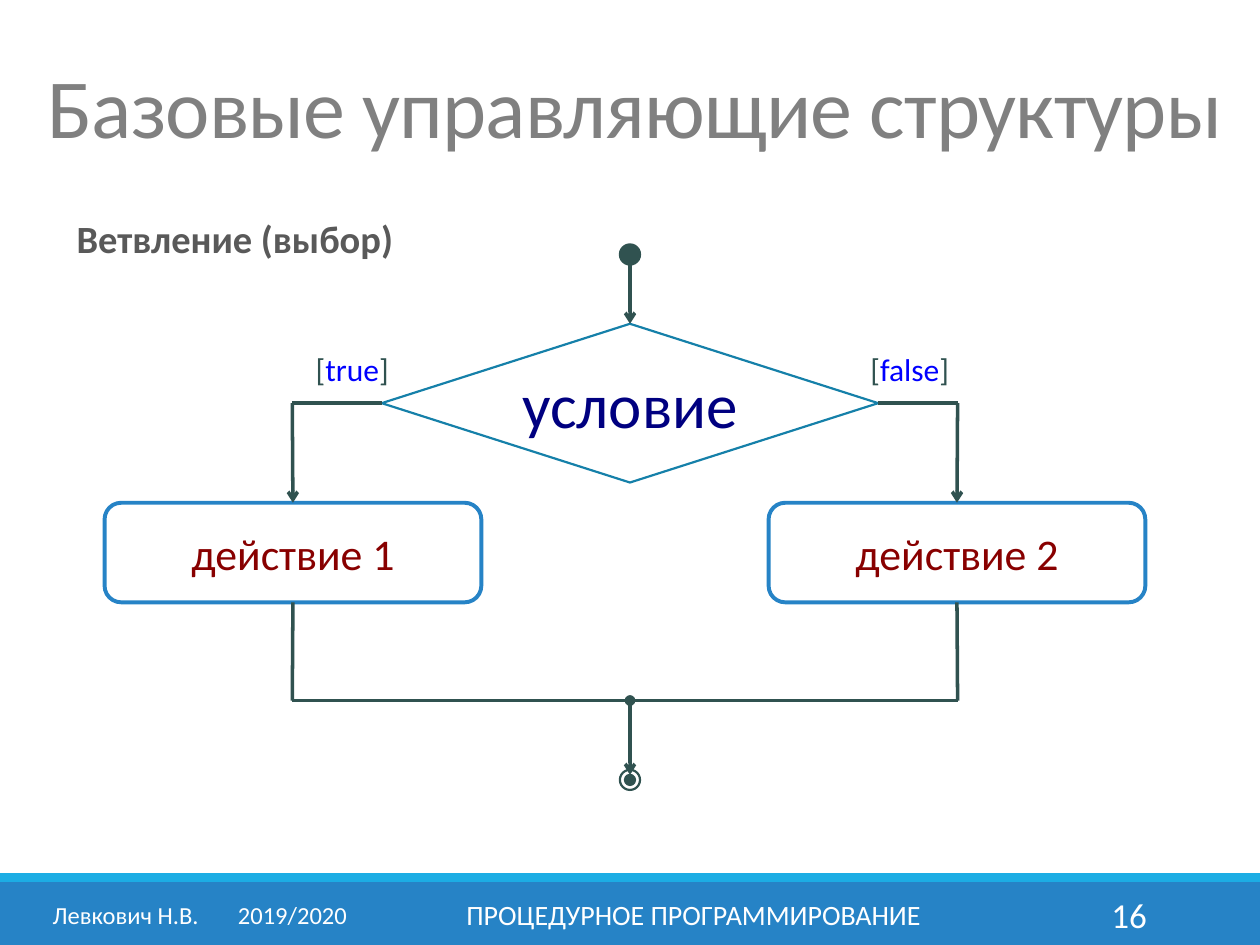
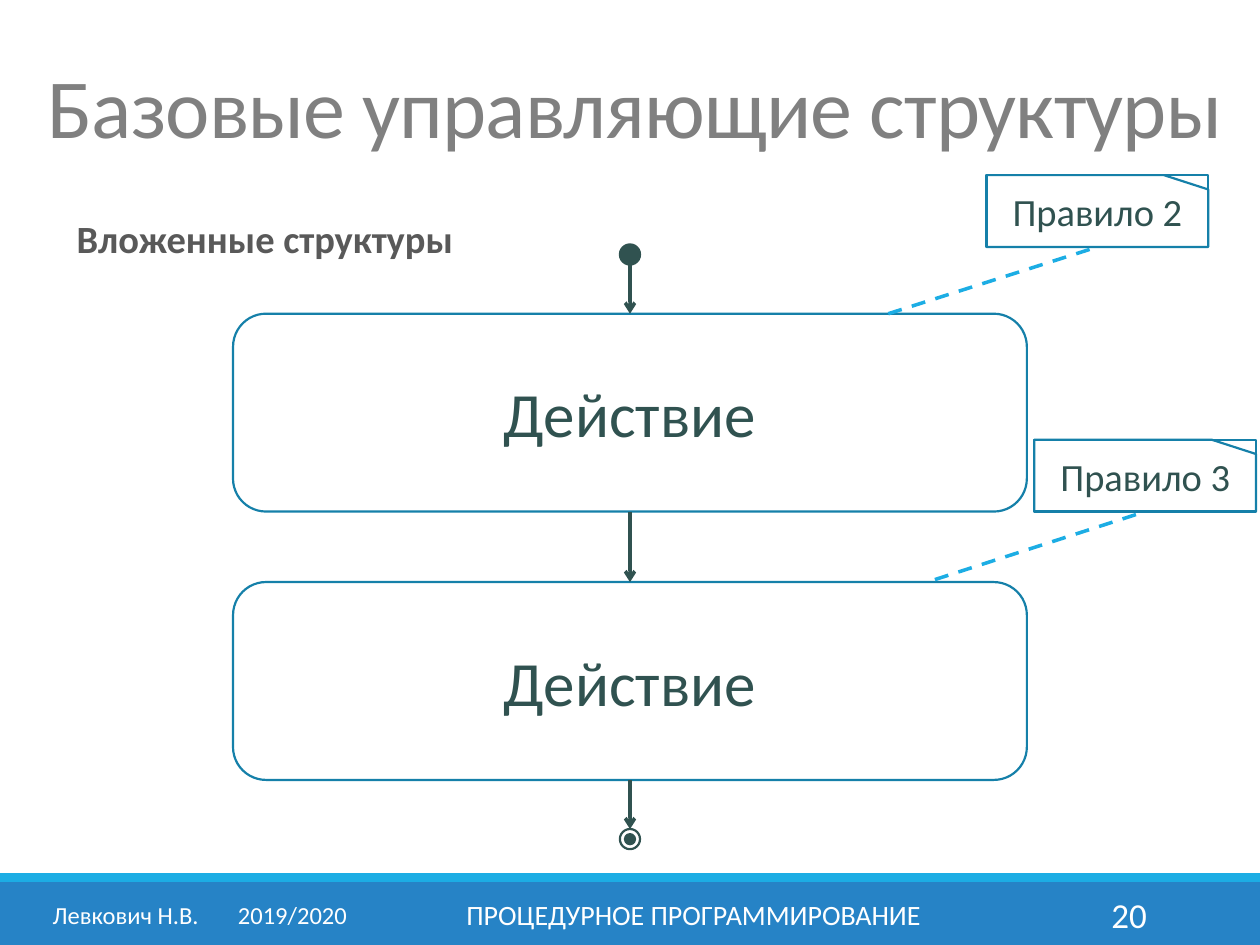
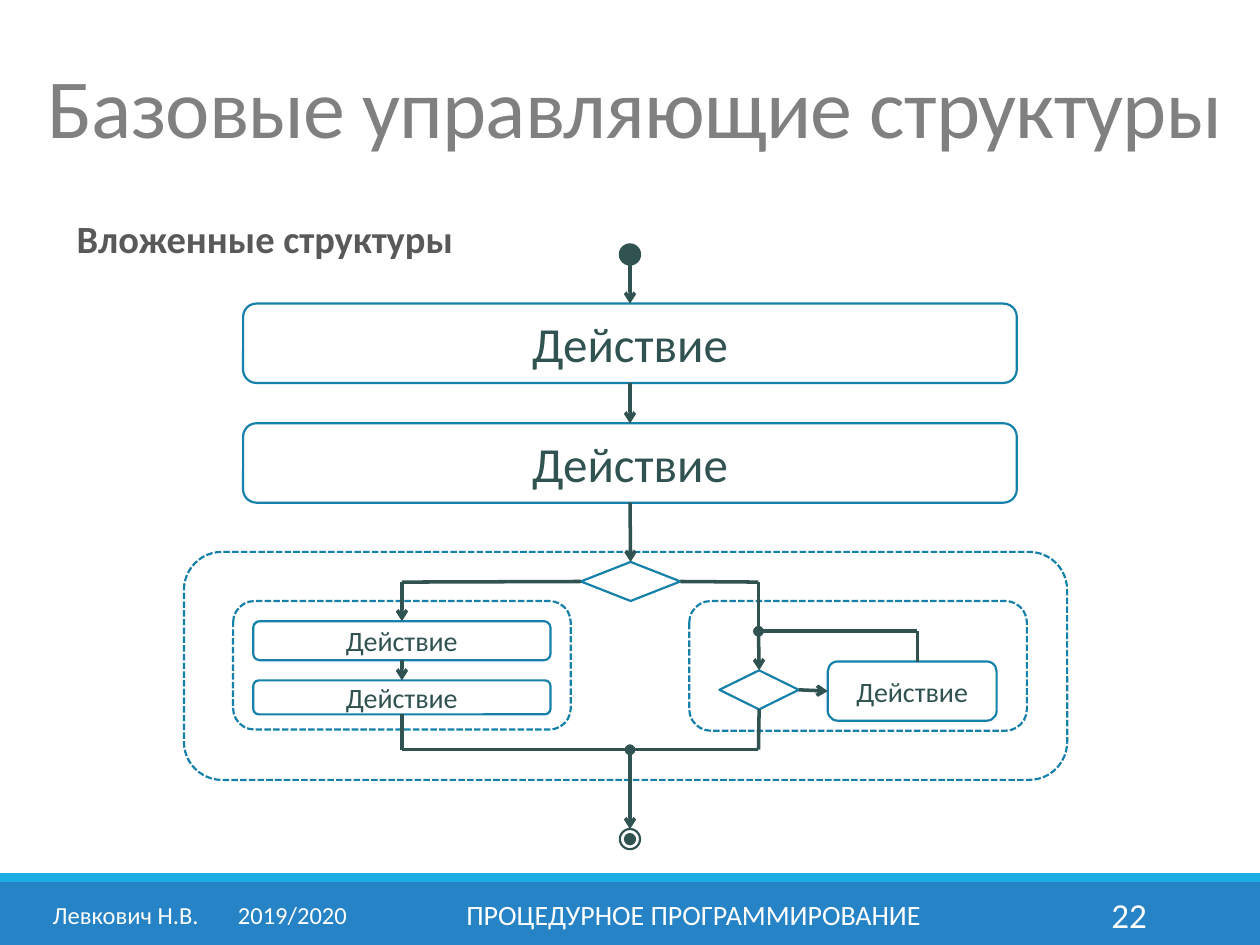
from lxml import etree
from pptx import Presentation
from pptx.dml.color import RGBColor
from pptx.enum.dml import MSO_LINE
from pptx.enum.shapes import MSO_CONNECTOR, MSO_SHAPE
from pptx.enum.text import MSO_ANCHOR, PP_ALIGN
from pptx.oxml.ns import qn
from pptx.util import Inches, Pt

RECTANGLE = MSO_SHAPE.RECTANGLE
ACTION = MSO_SHAPE.FLOWCHART_ALTERNATE_PROCESS
DECISION = MSO_SHAPE.FLOWCHART_DECISION
CIRCLE = MSO_SHAPE.FLOWCHART_CONNECTOR
CARD = MSO_SHAPE.FLOWCHART_CARD
PROCESS = MSO_SHAPE.FLOWCHART_PROCESS
STRAIGHT = MSO_CONNECTOR.STRAIGHT
DASH, SMALL_DASH = MSO_LINE.DASH, MSO_LINE.SQUARE_DOT
TOP_ANCHOR, MIDDLE = MSO_ANCHOR.TOP, MSO_ANCHOR.MIDDLE
ALIGN_LEFT, CENTER, ALIGN_RIGHT = PP_ALIGN.LEFT, PP_ALIGN.CENTER, PP_ALIGN.RIGHT
TOP, LEFT, BOTTOM, RIGHT = range(4)

BLUE = RGBColor(0x26, 0x83, 0xC6)
CYAN = RGBColor(0x1C, 0xAD, 0xE4)
TEAL = RGBColor(0x15, 0x80, 0xA9)
DARK = RGBColor(0x30, 0x52, 0x50)
TITLE_GRAY = RGBColor(0x80, 0x80, 0x80)
HEADING_GRAY = RGBColor(0x59, 0x59, 0x59)
WHITE = RGBColor(0xFF, 0xFF, 0xFF)
MAROON = RGBColor(0x88, 0x00, 0x00)
NAVY = RGBColor(0x00, 0x00, 0x80)
KEYWORD_BLUE = RGBColor(0x00, 0x00, 0xFF)

AXIS = 5


def add_block(shapes, kind, box, runs=(), size=18, bold=False, align=CENTER,
              anchor=MIDDLE, fill=None, line=None, width=1.25, dash=None):
    box = [Inches(value) for value in box]
    if kind is None:
        shape = shapes.add_textbox(*box)
    else:
        shape = shapes.add_shape(kind, *box)
        shape.shadow.inherit = False
        for color, target in ((fill, shape.fill), (line, shape.line.fill)):
            if color is None:
                target.background()
            else:
                target.solid()
                target.fore_color.rgb = color
        if line is not None:
            shape.line.width = Pt(width)
            shape.line.dash_style = dash
    if runs:
        frame = shape.text_frame
        frame.word_wrap = True
        frame.vertical_anchor = anchor
        if kind is not None:
            frame.margin_left = frame.margin_right = 0
            frame.margin_top = frame.margin_bottom = 0
        paragraph = frame.paragraphs[0]
        paragraph.alignment = align
        font_format = {"name": "Calibri", "size": Pt(size), "bold": bold}
        for text, color in runs:
            run = paragraph.add_run()
            run.text = text
            for name, value in font_format.items():
                setattr(run.font, name, value)
            run.font.color.rgb = color
    return shape


def add_link(slide, start, end, tail=None, color=DARK, dash=None):
    ends = [point if isinstance(point[0], (int, float)) else (0, 0)
            for point in (start, end)]
    connector = slide.shapes.add_connector(
        STRAIGHT, *[Inches(value) for point in ends for value in point])
    for point, join in ((start, connector.begin_connect),
                        (end, connector.end_connect)):
        if not isinstance(point[0], (int, float)):
            join(*point)
    connector.line.color.rgb = color
    connector.line.width = Pt(2)
    connector.line.dash_style = dash
    properties = connector._element.spPr
    if tail:
        outline = properties.find(qn("a:ln"))
        etree.SubElement(outline, qn("a:tailEnd"), type=tail)
    etree.SubElement(properties, qn("a:effectLst"))


presentation = Presentation()
presentation.slide_width = Inches(10)
presentation.slide_height = Inches(7.5)

slides = []
for heading, number, end_top in (
    ("Ветвление (выбор)", "16", 6.11),
    ("Вложенные структуры", "20", 6.58),
    ("Вложенные структуры", "22", 6.58),
):
    slide = presentation.slides.add_slide(presentation.slide_layouts[6])
    slides.append(slide)
    shapes = slide.shapes
    add_block(shapes, RECTANGLE, (0, 7, 10, 0.5), fill=BLUE)
    add_block(shapes, RECTANGLE, (0, 6.93, 10, 0.07), fill=CYAN)

    title = add_block(shapes, None, (0.28, 0.36, 9.53, 1.07),
                      [("Базовые управляющие структуры", TITLE_GRAY)],
                      size=48, align=ALIGN_LEFT)
    paragraph = title.text_frame.paragraphs[0]
    paragraph.line_spacing = 0.85
    paragraph.runs[0].font._element.set("spc", "-50")

    section = add_block(shapes, None, (0.51, 1.7, 9.1, 0.55),
                        [(heading, HEADING_GRAY)], size=22, bold=True,
                        align=ALIGN_LEFT, anchor=TOP_ANCHOR)
    section.text_frame.paragraphs[0].line_spacing = 0.9

    author = add_block(shapes, None, (0.32, 7.06, 2.61, 0.4),
                       [("Левкович Н.В.\t2019/2020", WHITE)],
                       size=14, align=ALIGN_LEFT)
    properties = author.text_frame.paragraphs[0]._p.get_or_add_pPr()
    tabs = etree.SubElement(properties, qn("a:tabLst"))
    etree.SubElement(tabs, qn("a:tab"), pos=str(Inches(1.47)), algn="l")
    add_block(shapes, None, (3.02, 7.06, 4.97, 0.4),
              [("ПРОЦЕДУРНОЕ ПРОГРАММИРОВАНИЕ", WHITE)], size=16)
    add_block(shapes, None, (8.12, 7.06, 1.08, 0.4), [(number, WHITE)],
              size=20, align=ALIGN_RIGHT)

    add_block(shapes, CIRCLE, (AXIS - 0.08, 1.94, 0.16, 0.16), fill=DARK, line=DARK)
    end_node = shapes.add_group_shape().shapes
    add_block(end_node, CIRCLE, (AXIS - 0.04, end_top + 0.04, 0.08, 0.08),
              fill=DARK, line=DARK)
    add_block(end_node, CIRCLE, (AXIS - 0.08, end_top, 0.16, 0.16), line=DARK)

branching, nesting, nested = slides

condition = add_block(branching.shapes, DECISION, (3.03, 2.57, 3.94, 1.26),
                      [("условие", NAVY)], size=36, line=TEAL)
add_link(branching, (AXIS, 2.1), (condition, TOP), "arrow")
for name, left, center, side in (("действие 1", 0.83, 2.32, LEFT),
                                 ("действие 2", 6.1, 7.6, RIGHT)):
    action = add_block(branching.shapes, ACTION, (left, 3.99, 2.99, 0.79),
                       [(name, MAROON)], size=25, line=BLUE, width=2.25)
    add_link(branching, (condition, side), (center, 3.2))
    add_link(branching, (center, 3.2), (action, TOP), "arrow")
    add_link(branching, (action, BOTTOM), (center, 5.56))
    add_link(branching, (center, 5.56), (AXIS, 5.56), "oval")
add_link(branching, (AXIS, 5.56), (AXIS, 6.15), "arrow")
for word, left, width, align in (("true", 2.4, 0.79, CENTER),
                                 ("false", 6.81, 0.87, ALIGN_LEFT)):
    add_block(branching.shapes, None, (left, 2.73, width, 0.39),
              [("[", DARK), (word, KEYWORD_BLUE), ("]", DARK)], align=align)

first, second = [
    add_block(nesting.shapes, ACTION, (1.85, top, 6.3, 1.57),
              [("Действие", DARK)], size=36, line=TEAL)
    for top in (2.49, 4.62)
]
add_link(nesting, (AXIS, 2.1), (first, TOP), "arrow")
add_link(nesting, (first, BOTTOM), (second, TOP), "arrow")
add_link(nesting, (second, BOTTOM), (AXIS, 6.58), "arrow")
for name, left, top, target in (("Правило 2", 7.83, 1.39, (7.05, 2.49)),
                                ("Правило 3", 8.21, 3.49, (7.42, 4.6))):
    note = nesting.shapes.add_group_shape().shapes
    box = (left, top, 1.76, 0.57)
    card = add_block(note, CARD, box, line=TEAL)
    card._element.spPr.xfrm.set("flipH", "1")
    label = add_block(note, PROCESS, box, [(name, DARK)], size=22, line=TEAL)
    add_link(nesting, target, (label, BOTTOM), color=CYAN, dash=DASH)

for frame_box in ((1.46, 4.38, 7.01, 1.81), (1.85, 4.77, 2.68, 1.02),
                  (5.47, 4.77, 2.68, 1.03)):
    add_block(nested.shapes, ACTION, frame_box, line=TEAL, dash=SMALL_DASH)
upper, lower, left_first, left_second, loop_body = [
    add_block(nested.shapes, ACTION, box, [("Действие", DARK)], size=size, line=TEAL)
    for box, size in (
        ((1.93, 2.41, 6.14, 0.63), 28),
        ((1.93, 3.36, 6.14, 0.63), 28),
        ((2.01, 4.93, 2.36, 0.31), 16),
        ((2.01, 5.4, 2.36, 0.27), 16),
        ((6.57, 5.25, 1.34, 0.47), 16),
    )
]
choice, loop_test = [
    add_block(nested.shapes, DECISION, box, line=TEAL)
    for box in ((4.61, 4.46, 0.79, 0.31), (5.71, 5.32, 0.63, 0.31))
]
LEFT_BRANCH, RIGHT_BRANCH, LOOP_RETURN = 3.19, 6.02, 7.28
for start, end, tail in (
    ((AXIS, 2.1), (upper, TOP), "arrow"),
    ((upper, BOTTOM), (lower, TOP), "arrow"),
    ((lower, BOTTOM), (choice, TOP), "arrow"),
    ((choice, LEFT), (LEFT_BRANCH, 4.62), None),
    ((LEFT_BRANCH, 4.62), (left_first, TOP), "arrow"),
    ((left_first, BOTTOM), (left_second, TOP), "arrow"),
    ((left_second, BOTTOM), (LEFT_BRANCH, 5.95), None),
    ((LEFT_BRANCH, 5.95), (AXIS, 5.95), "oval"),
    ((choice, RIGHT), (RIGHT_BRANCH, 4.62), None),
    ((RIGHT_BRANCH, 4.62), (RIGHT_BRANCH, 5.01), "oval"),
    ((RIGHT_BRANCH, 5.01), (loop_test, TOP), "arrow"),
    ((loop_test, RIGHT), (loop_body, LEFT), "arrow"),
    ((LOOP_RETURN, 5.25), (LOOP_RETURN, 5.01), None),
    ((LOOP_RETURN, 5.01), (RIGHT_BRANCH, 5.01), "oval"),
    ((loop_test, BOTTOM), (RIGHT_BRANCH, 5.95), None),
    ((RIGHT_BRANCH, 5.95), (AXIS, 5.95), "oval"),
    ((AXIS, 5.95), (AXIS, 6.58), "arrow"),
):
    add_link(nested, start, end, tail)

presentation.save("out.pptx")
